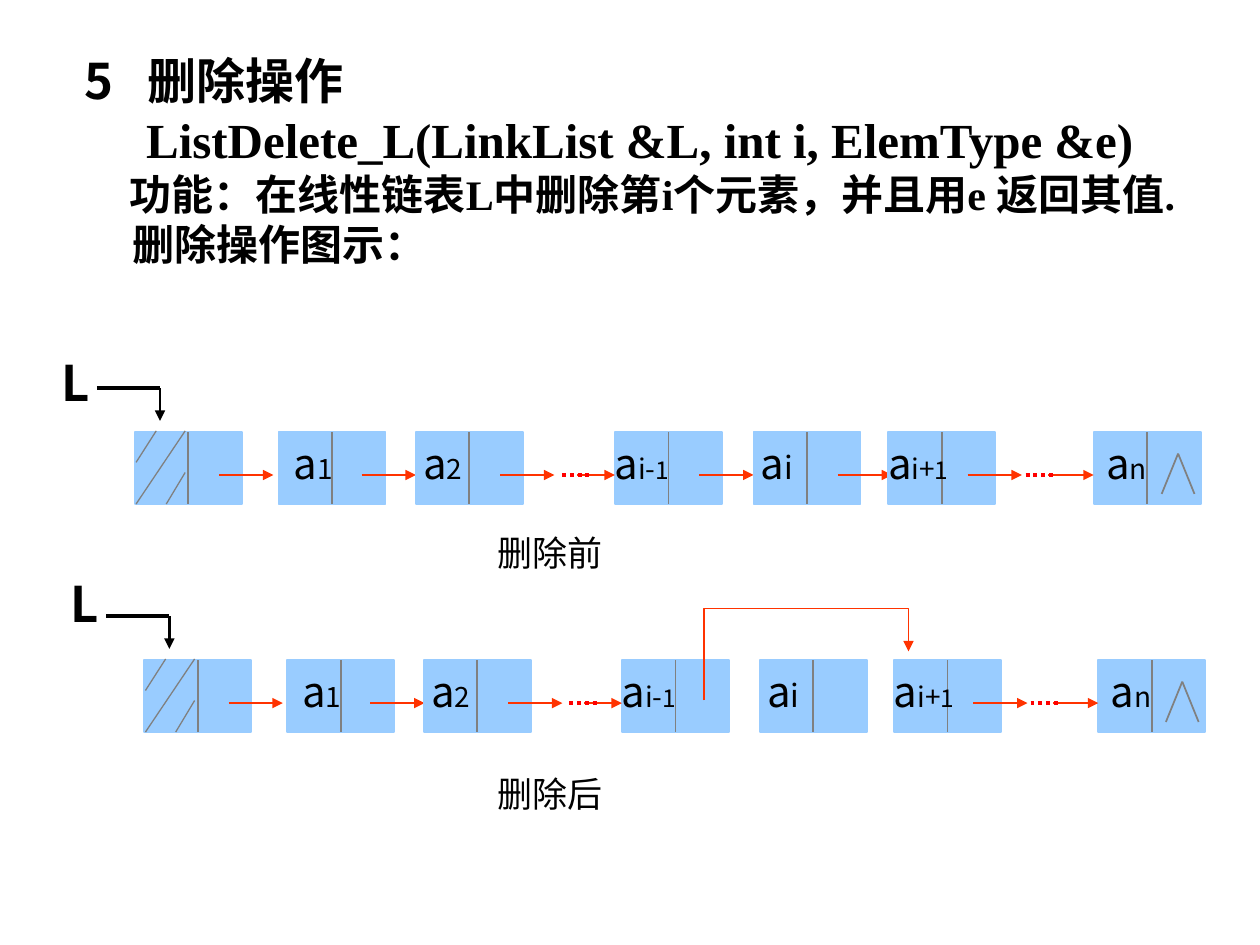
from lxml import etree
from pptx import Presentation
from pptx.dml.color import RGBColor
from pptx.enum import dml, shapes, text
from pptx.oxml import ns
from pptx.util import Inches, Pt

BLACK = RGBColor(0x00, 0x00, 0x00)
BLUE = RGBColor(0x99, 0xCC, 0xFF)
GRAY = RGBColor(0x80, 0x80, 0x80)
ORANGE = RGBColor(0xFF, 0x33, 0x00)
RED = RGBColor(0xFF, 0x00, 0x00)
CJK = "Noto Sans CJK SC"


def write_runs(paragraph, runs, font=CJK, bold=False):
    paragraph.alignment = text.PP_ALIGN.LEFT
    for content, size in runs:
        run = paragraph.add_run()
        run.text = content
        run.font.name = font
        run.font.size = Pt(size)
        run.font.bold = bold
        run.font.color.rgb = BLACK
        east_asian = etree.SubElement(run.font._element, ns.qn("a:ea"))
        east_asian.set("typeface", CJK)


def add_line(x1, y1, x2, y2, color, width=1, arrow=False, dash=None):
    line = slide.shapes.add_connector(
        shapes.MSO_CONNECTOR.STRAIGHT, Inches(x1), Inches(y1), Inches(x2), Inches(y2))
    line.line.color.rgb = color
    line.line.width = Pt(width)
    line.line.dash_style = dash
    if arrow:
        etree.SubElement(line.line._get_or_add_ln(), ns.qn("a:tailEnd")).set("type", "triangle")
    etree.SubElement(line._element.spPr, ns.qn("a:effectLst"))


presentation = Presentation()
presentation.slide_width = Inches(10)
presentation.slide_height = Inches(7.5)
slide = presentation.slides.add_slide(presentation.slide_layouts[5])

title = slide.shapes.title
title.left, title.top, title.width, title.height = [Inches(n) for n in (0.57, 0.35, 9.43, 2.3)]
frame = title.text_frame
frame.word_wrap = True
frame.auto_size = text.MSO_AUTO_SIZE.NONE
frame.vertical_anchor = text.MSO_ANCHOR.TOP
frame.margin_right = 0
heading_lines = [
    ("删除操作", 28, 0.5),
    ("ListDelete_L(LinkList &L, int i, ElemType &e)", 28, 0.49),
    ("功能：在线性链表L中删除第i个元素，并且用e 返回其值.", 24, 0.36),
    ("删除操作图示：", 24, 0.38),
]
for index, (content, size, indent) in enumerate(heading_lines):
    paragraph = frame.add_paragraph() if index else frame.paragraphs[0]
    properties = paragraph._p.get_or_add_pPr()
    properties.set("marL", str(Inches(indent)))
    properties.set("indent", str(0 if index else -Inches(indent)))
    if index == 0:
        etree.SubElement(properties, ns.qn("a:buFont")).set("typeface", CJK)
        number = etree.SubElement(properties, ns.qn("a:buAutoNum"))
        number.set("type", "arabicPlain")
        number.set("startAt", "5")
    write_runs(paragraph, [(content, size)], font="Times New Roman", bold=True)

NODE_WIDTH, NODE_HEIGHT, POINTER = 0.85, 0.57, 0.43
nodes = [
    (1.07, None, 0, 0, 0.67),
    (2.21, [("a", 24), ("1", 16)], 0.02, 0.89, 0.66),
    (3.3, [("a", 24), ("2", 16)], -0.04, 0.7, 0.67),
    (4.88, [("a", 24), ("i-", 16), ("1", 14)], -0.1, 0.87, 0.67),
    (5.98, [("a", 24), ("i", 18)], -0.04, 0.5, 0.67),
    (7.05, [("a", 24), ("i+", 16), ("1", 14)], -0.1, 0.74, 0.63),
    (8.68, [("a", 24), ("n", 16)], 0, 0.61, None),
]
rows = [
    (3.43, 0, 1, 2.75, 4.17, "删除前", ()),
    (5.24, 0.08, 0.995, 4.5, 6.08, "删除后", (3, 4)),
]
text_boxes = []
for top, shift, scale, list_top, caption_top, caption, unlinked in rows:
    bottom = top + NODE_HEIGHT
    pointer_y = top + 0.34
    for index, (node_x, label, label_dx, label_width, pointer_dx) in enumerate(nodes):
        left = shift + scale * node_x
        node = slide.shapes.add_shape(
            shapes.MSO_SHAPE.RECTANGLE,
            Inches(left), Inches(top), Inches(NODE_WIDTH), Inches(NODE_HEIGHT))
        node.shadow.inherit = False
        node.fill.solid()
        node.fill.fore_color.rgb = BLUE
        node.line.color.rgb = BLUE
        node.line.width = Pt(1)
        middle = left + NODE_WIDTH / 2
        add_line(middle, top, middle, bottom, GRAY)
        if label:
            text_boxes.append((left + label_dx, top - 0.01, label_width, 0.5, label, CJK, False))
        if pointer_dx and index not in unlinked:
            start = left + pointer_dx
            add_line(start, pointer_y, start + POINTER, pointer_y, ORANGE, arrow=True)

    for arrow_start, arrow_end, dots_start in ((4.58, 4.88, 4.46), (8.32, 8.68, 8.14)):
        add_line(shift + scale * arrow_start, pointer_y, shift + scale * arrow_end, pointer_y,
                 ORANGE, arrow=True)
        dots = shift + scale * dots_start
        add_line(dots, pointer_y, dots + 0.24, pointer_y, RED, width=2.25,
                 dash=dml.MSO_LINE.ROUND_DOT)

    peak = shift + scale * 9.35
    for side in (-0.13, 0.13):
        add_line(peak, top + 0.17, peak + side, top + 0.49, GRAY)

    head = shift + scale * 1.07
    for x1, y1, x2 in ((0.4, -0.01, 0.01), (0.17, -0.01, 0.01), (0.4, 0.32, 0.25)):
        y2 = 0.24 if x1 == 0.17 else NODE_HEIGHT
        add_line(head + x1, top + y1, head + x2, top + y2, GRAY, width=0.75)

    add_line(head - 0.3, top - 0.35, head + 0.2, top - 0.35, BLACK, width=2.25)
    add_line(head + 0.2, top - 0.35, head + 0.2, top - 0.09, BLACK, width=1.5, arrow=True)
    text_boxes.append((head - 0.68, list_top, 0.85, 0.57, [("L", 28)], CJK, True))
    text_boxes.append((3.85, caption_top, 1.33, 0.44, [(caption, 20)], "Arial", False))

builder = slide.shapes.build_freeform(Inches(5.59), Inches(5.56))
builder.add_line_segments(
    [(Inches(x), Inches(y)) for x, y in ((5.59, 4.83), (7.21, 4.83), (7.21, 5.17))], close=False)
bypass = builder.convert_to_shape()
bypass.shadow.inherit = False
bypass.fill.background()
bypass.line.color.rgb = ORANGE
bypass.line.width = Pt(1)
etree.SubElement(bypass.line._get_or_add_ln(), ns.qn("a:tailEnd")).set("type", "triangle")

for left, top, width, height, runs, font, bold in text_boxes:
    box = slide.shapes.add_textbox(Inches(left), Inches(top), Inches(width), Inches(height))
    box.text_frame.word_wrap = True
    write_runs(box.text_frame.paragraphs[0], runs, font=font, bold=bold)

presentation.save("out.pptx")
